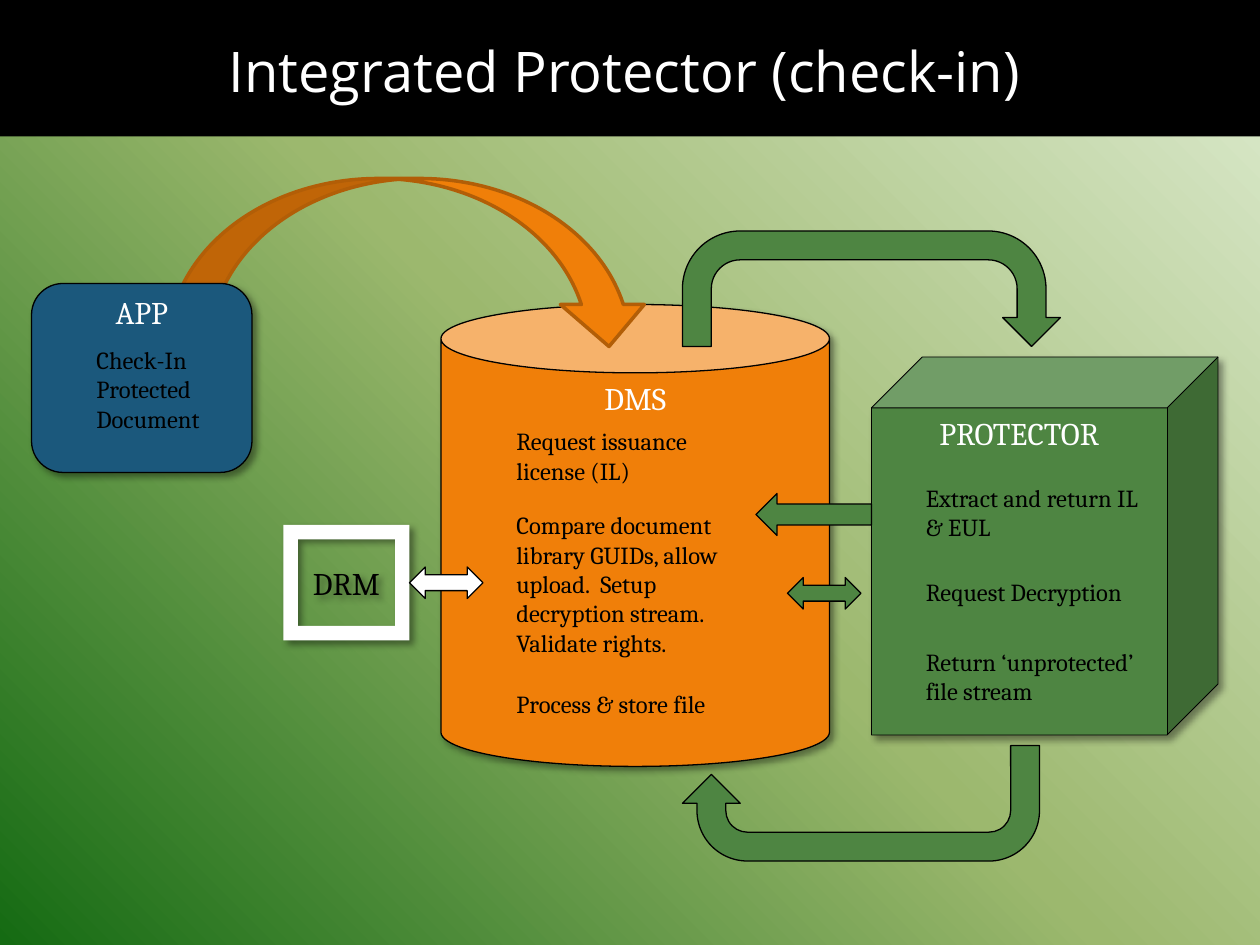
from lxml import etree
from pptx import Presentation
from pptx import util as u
from pptx.dml.color import RGBColor
from pptx.enum import shapes, text
from pptx.oxml import ns

PX = 9525
ORANGE = RGBColor(0xF0, 0x7F, 0x09)
RUST = RGBColor(0xB2, 0x5E, 0x07)
GREEN = RGBColor(0x4E, 0x85, 0x42)
BLUE = RGBColor(0x1B, 0x58, 0x7C)
BLACK = RGBColor(0, 0, 0)
WHITE = RGBColor(0xFF, 0xFF, 0xFF)
MEADOW = [(0, RGBColor(0xDD, 0xEB, 0xCF)), (50, RGBColor(0x9C, 0xB8, 0x6E)),
          (100, RGBColor(0x15, 0x6B, 0x13))]
KIND = shapes.MSO_SHAPE


def emu(*lengths):
    return [u.Emu(length * PX) for length in lengths]


def child(parent, tag, **attributes):
    return etree.SubElement(parent, ns.qn(tag), attributes)


def write(paragraph, words, size, color, font="Cambria"):
    run = paragraph.add_run()
    run.text = words
    run.font.size = u.Pt(size)
    run.font.name = font
    run.font.color.rgb = color


def paint(parent, kind, box, fill, line=BLACK, width=0.75, adjust=()):
    shape = parent.shapes.add_shape(kind, *emu(*box))
    shape.shadow.inherit = False
    shape.fill.solid()
    shape.fill.fore_color.rgb = fill
    if line is None:
        shape.line.fill.background()
    else:
        shape.line.color.rgb = line
        shape.line.width = u.Pt(width)
    for index, value in enumerate(adjust):
        shape.adjustments[index] = value
    return shape


def cast_shadow(shape):
    effects = shape.element.spPr.find(ns.qn("a:effectLst"))
    shadow = child(effects, "a:outerShdw", blurRad=str(u.Pt(4)), dist=str(u.Pt(3)),
                   dir="2700000", algn="tl", rotWithShape="0")
    color = child(shadow, "a:srgbClr", val=str(BLACK))
    child(color, "a:alpha", val="40000")


def label(shape, words, color, anchor):
    frame = shape.text_frame
    frame.vertical_anchor = anchor
    frame.paragraphs[0].alignment = text.PP_ALIGN.CENTER
    write(frame.paragraphs[0], words, 18, color)


def note(group, box, lines, wrap):
    frame = group.shapes.add_textbox(*emu(*box)).text_frame
    frame.word_wrap = wrap
    frame.auto_size = text.MSO_AUTO_SIZE.SHAPE_TO_FIT_TEXT
    for index, words in enumerate(lines):
        paragraph = frame.add_paragraph() if index else frame.paragraphs[0]
        write(paragraph, words, 14, BLACK)


def system(slide, kind, box, heading, fill, notes, width=0.75, adjust=(), wrap=True):
    left, top = box[:2]
    group = slide.shapes.add_group_shape()
    body = paint(group, kind, box, fill, width=width, adjust=adjust)
    cast_shadow(body)
    label(body, heading, WHITE, text.MSO_ANCHOR.TOP)
    for (x, y, w, h), lines in notes:
        note(group, (left + x, top + y, w, h), lines, wrap)
    return body


def backdrop(slide):
    fill = slide.background.fill
    fill.gradient()
    fill.gradient_angle = 225
    stops = next(slide.element.iter(ns.qn("a:gsLst")))
    for stop in list(stops):
        stops.remove(stop)
    for position, color in MEADOW:
        stop = child(stops, "a:gs", pos=str(position * 1000))
        child(stop, "a:srgbClr", val=str(color))


def header(slide, box):
    left, top, width, height = box
    bar = paint(slide, KIND.RECTANGLE, box, BLACK, None)
    title = slide.shapes.title
    title.element.addprevious(bar.element)
    title.left, title.top, title.width, title.height = emu(
        left + 16, top + 16, width - 40, height - 29)
    frame = title.text_frame
    frame.vertical_anchor = text.MSO_ANCHOR.MIDDLE
    frame.paragraphs[0].alignment = text.PP_ALIGN.CENTER
    write(frame.paragraphs[0], "Integrated Protector (check-in)", 32, WHITE, "Open Sans")


def protector(slide, box):
    system(slide, KIND.CUBE, box, "PROTECTOR", GREEN, [
        ((32, 91, 184, 55), ["Extract and return IL & EUL"]),
        ((32, 163, 192, 33), ["Request Decryption"]),
        ((32, 216, 208, 55), ["Return ‘unprotected’", "file stream"]),
    ], width=0.5, adjust=[0.147])


def store(slide, box):
    system(slide, KIND.CAN, box, "DMS", ORANGE, [
        ((48, 88, 176, 55), ["Request issuance license (IL)"]),
        ((48, 152, 200, 123), ["Compare document library GUIDs, allow upload.  "
                               "Setup decryption stream.  Validate rights."]),
        ((48, 288, 248, 33), ["Process & store file"]),
    ], adjust=[0.176])


def app(slide, box):
    body = system(slide, KIND.ROUNDED_RECTANGLE, box, "APP", BLUE, [
        ((40, 42, 108, 78), ["Check-In", "Protected", "Document"]),
    ], wrap=False)
    body.text_frame.margin_top = 0


def rights_server(slide, box):
    left, top, width, height = box
    server = paint(slide, KIND.FRAME, box, WHITE, None)
    cast_shadow(server)
    label(server, "DRM", BLACK, text.MSO_ANCHOR.MIDDLE)
    paint(slide, KIND.LEFT_RIGHT_ARROW, (left + width, top + 32, 56, 24), WHITE)


def exchange(slide, box):
    left, top, width, height = box
    paint(slide, KIND.LEFT_ARROW, (left, top, width, 32), GREEN)
    paint(slide, KIND.LEFT_RIGHT_ARROW, (left + 24, top + height - 24, 56, 24), GREEN)


def main():
    deck = Presentation()
    deck.slide_width, deck.slide_height = emu(960, 720)
    slide = deck.slides.add_slide(deck.slide_layouts[5])
    backdrop(slide)
    header(slide, (0, 0, 960, 104))
    return_arrow = paint(slide, KIND.U_TURN_ARROW, (520, 568, 272, 88), GREEN)
    return_arrow.rotation = 180
    protector(slide, (664, 272, 264, 288))
    store(slide, (336, 232, 296, 352))
    paint(slide, KIND.CURVED_DOWN_ARROW, (128, 136, 368, 128), ORANGE, RUST, 2)
    app(slide, (24, 216, 168, 144))
    rights_server(slide, (216, 400, 96, 88))
    exchange(slide, (576, 376, 88, 88))
    paint(slide, KIND.U_TURN_ARROW, (520, 176, 288, 88), GREEN,
          adjust=[0.25, 0.25, 0.25, 0.5, 1])
    deck.save("out.pptx")


if __name__ == "__main__":
    main()
